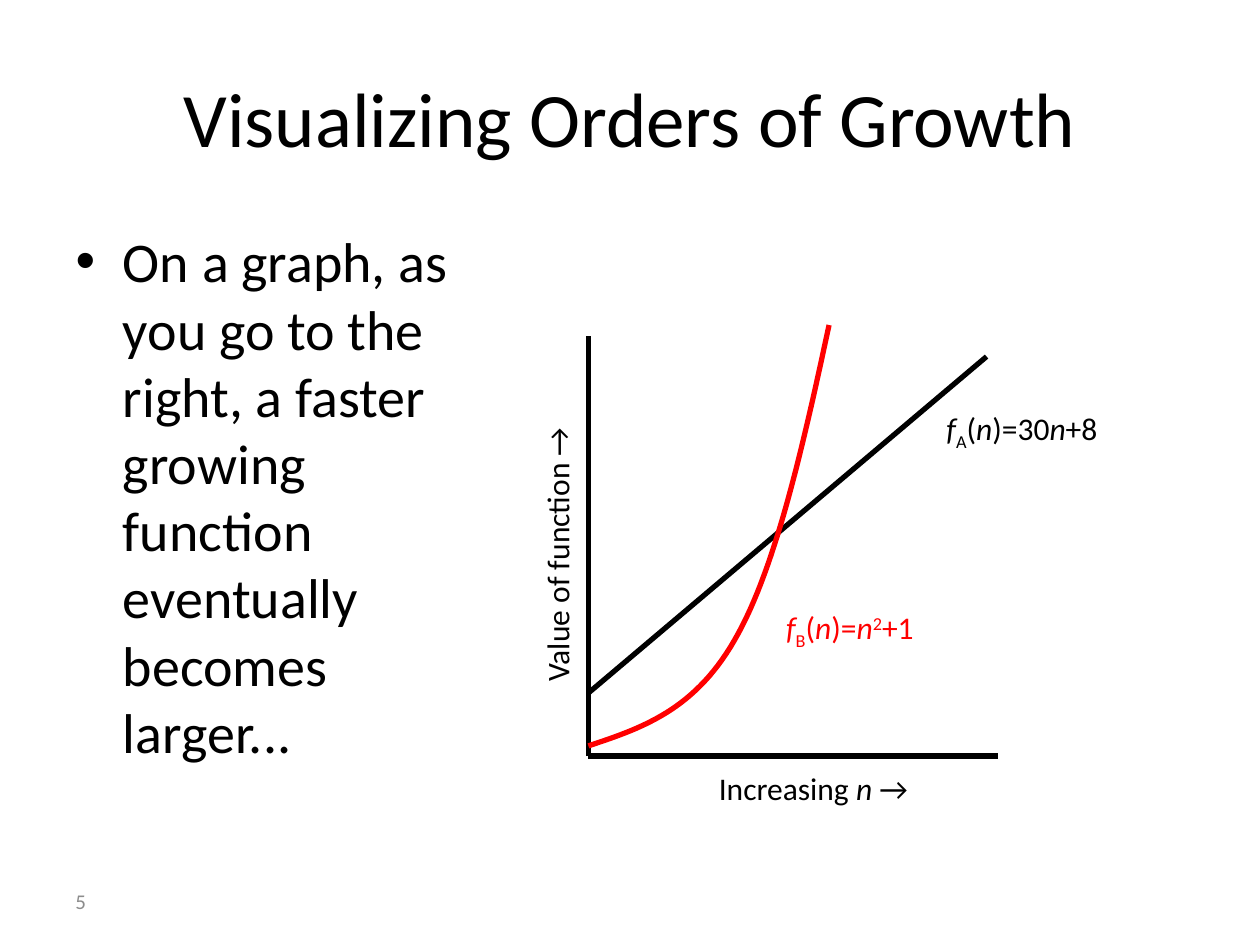
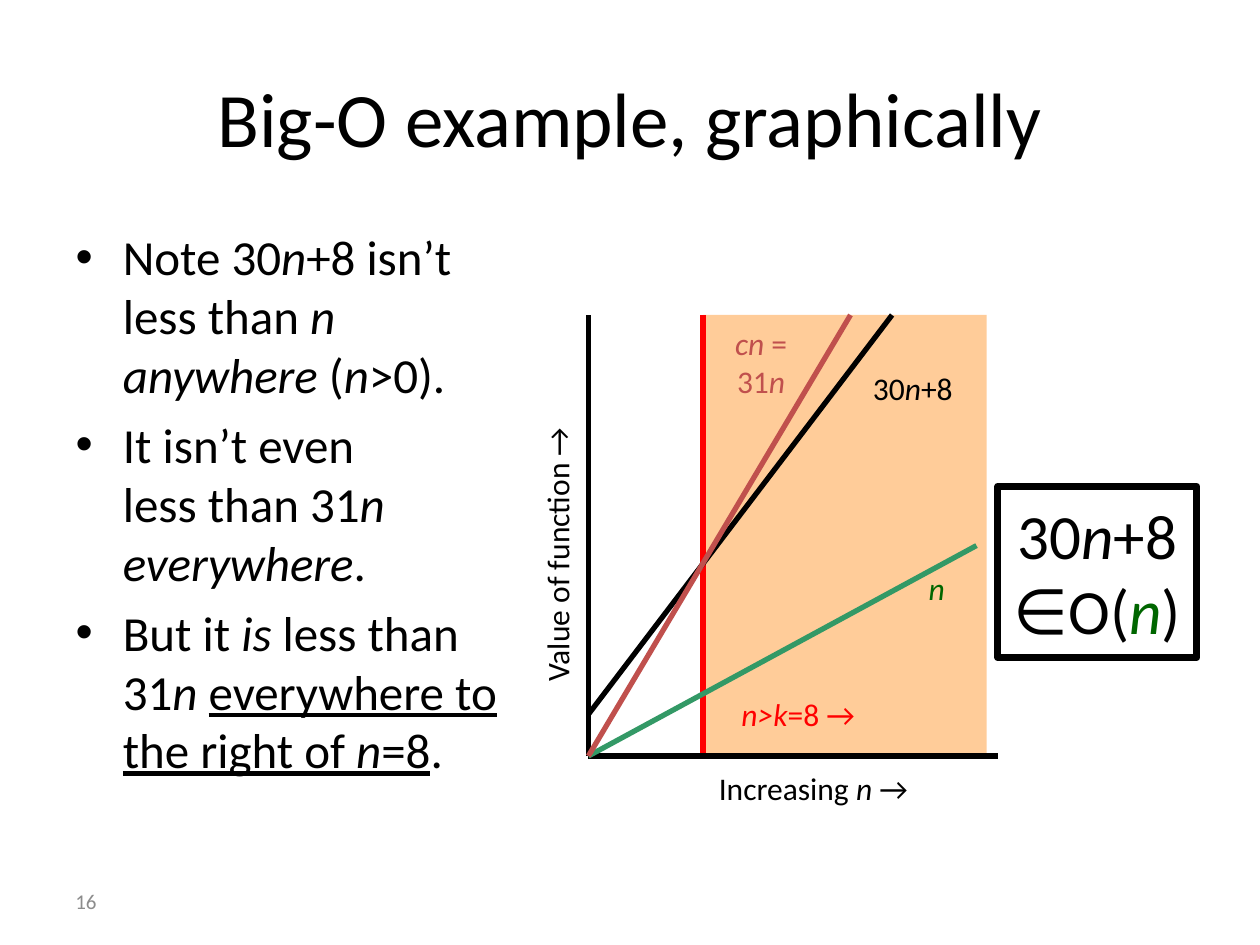
from dataclasses import dataclass

from lxml import etree
from pptx import Presentation
from pptx.dml.color import RGBColor
from pptx.enum.shapes import MSO_CONNECTOR, MSO_SHAPE
from pptx.enum.text import MSO_ANCHOR, MSO_AUTO_SIZE, PP_ALIGN
from pptx.oxml.ns import qn
from pptx.util import Inches, Pt

STRAIGHT = MSO_CONNECTOR.STRAIGHT
RECTANGLE = MSO_SHAPE.RECTANGLE
MIDDLE = MSO_ANCHOR.MIDDLE
NO_AUTOFIT = MSO_AUTO_SIZE.NONE
CENTER, LEFT = PP_ALIGN.CENTER, PP_ALIGN.LEFT


@dataclass(frozen=True)
class Theme:
    font: str = "Calibri"
    ink: str = "000000"
    paper: str = "FFFFFF"
    muted: str = "8C8C8C"
    red: str = "FF0000"
    brick: str = "C0504D"
    green: str = "339966"
    dark_green: str = "006600"
    peach: str = "FFCC99"
    title_size: int = 44
    answer_size: int = 36
    body_size: int = 32
    small_body_size: int = 28
    label_size: int = 18
    footer_size: int = 12
    line: int = 3
    frame: int = 4


THEME = Theme()

Point = tuple[float, float]
Box = tuple[float, float, float, float]

ORIGIN: Point = (4.67, 6)
AXIS_RIGHT = 7.92
GRAPH_TOP = 2.5
THRESHOLD_X = 5.58
TITLE_BOX: Box = (0.5, 0.3, 9, 1.25)
BODY_BOX: Box = (0.5, 1.75, 9, 4.95)
NUMBER_BOX: Box = (0.5, 6.95, 2.33, 0.4)

# Inline marks: *italic*  _underline_  ~subscript~  ^superscript^  `accent`
MARKS = "*_~^`"


@dataclass(frozen=True)
class Segment:
    start: Point
    end: Point
    color: str = THEME.ink


@dataclass(frozen=True)
class Label:
    text: str
    box: Box
    color: str = THEME.ink
    size: int = THEME.label_size
    rotation: int = 0
    align: PP_ALIGN = CENTER


AXIS_LABELS = (
    Label("Increasing *n *→", (5.33, 6, 2.25, 0.5)),
    Label("Value of function →", (2.94, 4.15, 2.96, 0.5), rotation=270),
)


def rgb(color: str) -> RGBColor:
    return RGBColor.from_string(color)


def inches(values: tuple[float, ...]) -> list[Inches]:
    return [Inches(v) for v in values]


# Text
def add_styled_run(p, text: str, marks: set[str], size: int, color: str) -> None:
    r = p.add_run()
    r.text = text
    r.font.name = THEME.font
    r.font.size = Pt(size)
    r.font.color.rgb = rgb(THEME.dark_green if "`" in marks else color)
    r.font.italic = "*" in marks
    r.font.underline = "_" in marks
    for mark, baseline in (("~", "-25000"), ("^", "30000")):
        if mark in marks:
            r._r.get_or_add_rPr().set("baseline", baseline)


def write(p, markup: str, size: int, color: str = THEME.ink) -> None:
    marks: set[str] = set()
    text = ""
    for ch in markup + "\n":
        if ch not in MARKS and ch != "\n":
            text += ch
            continue
        if text:
            add_styled_run(p, text, marks, size, color)
            text = ""
        if ch in MARKS:
            marks = marks ^ {ch}
        else:
            p.add_line_break()
    p._p.remove(p._p.findall(qn("a:br"))[-1])


def write_centred(tf, markup: str, size: int, color: str, align: PP_ALIGN = CENTER) -> None:
    tf.word_wrap = False
    tf.auto_size = NO_AUTOFIT
    tf.vertical_anchor = MIDDLE
    p = tf.paragraphs[0]
    p.alignment = align
    write(p, markup, size, color)


def add_label(s, label: Label) -> None:
    tb = s.shapes.add_textbox(*inches(label.box))
    tb.rotation = label.rotation
    write_centred(tb.text_frame, label.text, label.size, label.color, label.align)


def place(sp, box: Box) -> None:
    sp.left, sp.top, sp.width, sp.height = inches(box)


# Lines and shapes
def add_segment(s, segment: Segment) -> None:
    cn = s.shapes.add_connector(STRAIGHT, *inches(segment.start + segment.end))
    cn.line.color.rgb = rgb(segment.color)
    cn.line.width = Pt(THEME.line)
    etree.SubElement(cn._element.spPr, qn("a:effectLst"))


def add_rectangle(s, box: Box, fill: str, outline: str | None = None):
    sp = s.shapes.add_shape(RECTANGLE, *inches(box))
    sp.shadow.inherit = False
    sp.fill.solid()
    sp.fill.fore_color.rgb = rgb(fill)
    if outline:
        sp.line.color.rgb = rgb(outline)
        sp.line.width = Pt(THEME.frame)
    else:
        sp.line.fill.background()
    return sp


def bezier(points: tuple[Point, ...], steps: int = 30) -> list[Point]:
    """Points along a cubic curve, without its start."""
    curve = []
    for i in range(1, steps + 1):
        t = i / steps
        weights = ((1 - t) ** 3, 3 * t * (1 - t) ** 2, 3 * t * t * (1 - t), t ** 3)
        curve.append(tuple(sum(w * pt[axis] for w, pt in zip(weights, points))
                           for axis in (0, 1)))
    return curve


def add_curve(s, start: Point, pieces: tuple[tuple[Point, ...], ...], color: str) -> None:
    builder = s.shapes.build_freeform(*inches(start))
    for piece in pieces:
        points = [tuple(inches(pt)) for pt in bezier((start, *piece))]
        builder.add_line_segments(points, close=False)
        start = piece[-1]
    sp = builder.convert_to_shape()
    sp.shadow.inherit = False
    sp.fill.background()
    sp.line.color.rgb = rgb(color)
    sp.line.width = Pt(THEME.line)


# Parts both slides share
def add_base_slide(prs, title: str, bullets: tuple[str, ...], size: int, number: int):
    s = prs.slides.add_slide(prs.slide_layouts[1])
    heading, body = s.shapes.title, s.placeholders[1]
    place(heading, TITLE_BOX)
    write_centred(heading.text_frame, title, THEME.title_size, THEME.ink)
    place(body, BODY_BOX)
    tf = body.text_frame
    tf.auto_size = NO_AUTOFIT
    for i, bullet in enumerate(bullets):
        p = tf.add_paragraph() if i else tf.paragraphs[0]
        write(p, bullet, size)
    add_label(s, Label(str(number), NUMBER_BOX, THEME.muted, THEME.footer_size, align=LEFT))
    return s


def add_axes(s, top: float) -> None:
    add_segment(s, Segment(ORIGIN, (ORIGIN[0], top)))
    add_segment(s, Segment(ORIGIN, (AXIS_RIGHT, ORIGIN[1])))
    for label in AXIS_LABELS:
        add_label(s, label)


# Slides
def build_growth_slide(prs) -> None:
    bullet = ("On a graph, as\nyou go to the\nright, a faster\ngrowing\n"
              "function\neventually\nbecomes\nlarger...")
    s = add_base_slide(prs, "Visualizing Orders of Growth", (bullet,), THEME.body_size, 5)
    add_axes(s, 2.67)
    add_segment(s, Segment((ORIGIN[0], 5.5), (7.83, 2.83)))
    add_curve(s, (ORIGIN[0], 5.92), (
        ((5.09, 5.78), (5.51, 5.64), (5.83, 5.08)),
        ((6.15, 4.53), (6.37, 3.56), (6.58, 2.58)),
    ), THEME.red)
    add_label(s, Label("*f*~A~(*n*)=30*n*+8", (7.17, 3.17, 1.88, 0.5)))
    add_label(s, Label("*f*~B~(*n*)=*n*^2^+1", (5.92, 4.75, 1.65, 0.5), THEME.red))


def build_big_o_slide(prs) -> None:
    bullets = (
        "Note 30*n*+8 isn’t\nless than *n\nanywhere *(*n*>0).",
        "It isn’t even\nless than 31*n\neverywhere*.",
        "But it *is* less than\n31*n *_everywhere to\nthe right of *n*=8_.",
    )
    s = add_base_slide(prs, "Big-O example, graphically", bullets, THEME.small_body_size, 16)

    # Region to the right of the threshold
    add_rectangle(s, (THRESHOLD_X, GRAPH_TOP, 2.25, ORIGIN[1] - GRAPH_TOP), THEME.peach)
    add_segment(s, Segment((THRESHOLD_X, ORIGIN[1]), (THRESHOLD_X, GRAPH_TOP), THEME.red))
    add_axes(s, GRAPH_TOP)

    # Functions and their names
    for segment in (
        Segment((ORIGIN[0], 5.67), (7.08, GRAPH_TOP)),
        Segment(ORIGIN, (7.75, 4.33), THEME.green),
        Segment(ORIGIN, (6.75, GRAPH_TOP), THEME.brick),
    ):
        add_segment(s, segment)
    for label in (
        Label("*n>k*=8 →", (THRESHOLD_X, 5.42, 1.51, 0.5), THEME.red),
        Label("*n*", (7.25, 4.42, 0.37, 0.5), THEME.dark_green),
        Label("30*n*+8", (6.58, 2.83, 1.33, 0.5)),
        Label("*cn *=\n31*n*", (5.5, 2.42, 1.08, 0.9), THEME.brick),
    ):
        add_label(s, label)

    # Conclusion
    answer = add_rectangle(s, (AXIS_RIGHT, 3.86, 1.58, 1.36), THEME.paper, THEME.ink)
    write_centred(answer.text_frame, "30*n*+8\n∈O(*`n`*)", THEME.answer_size, THEME.ink)


def main() -> None:
    prs = Presentation()
    prs.slide_width, prs.slide_height = Inches(10), Inches(7.5)
    build_growth_slide(prs)
    build_big_o_slide(prs)
    prs.save("out.pptx")


if __name__ == "__main__":
    main()
